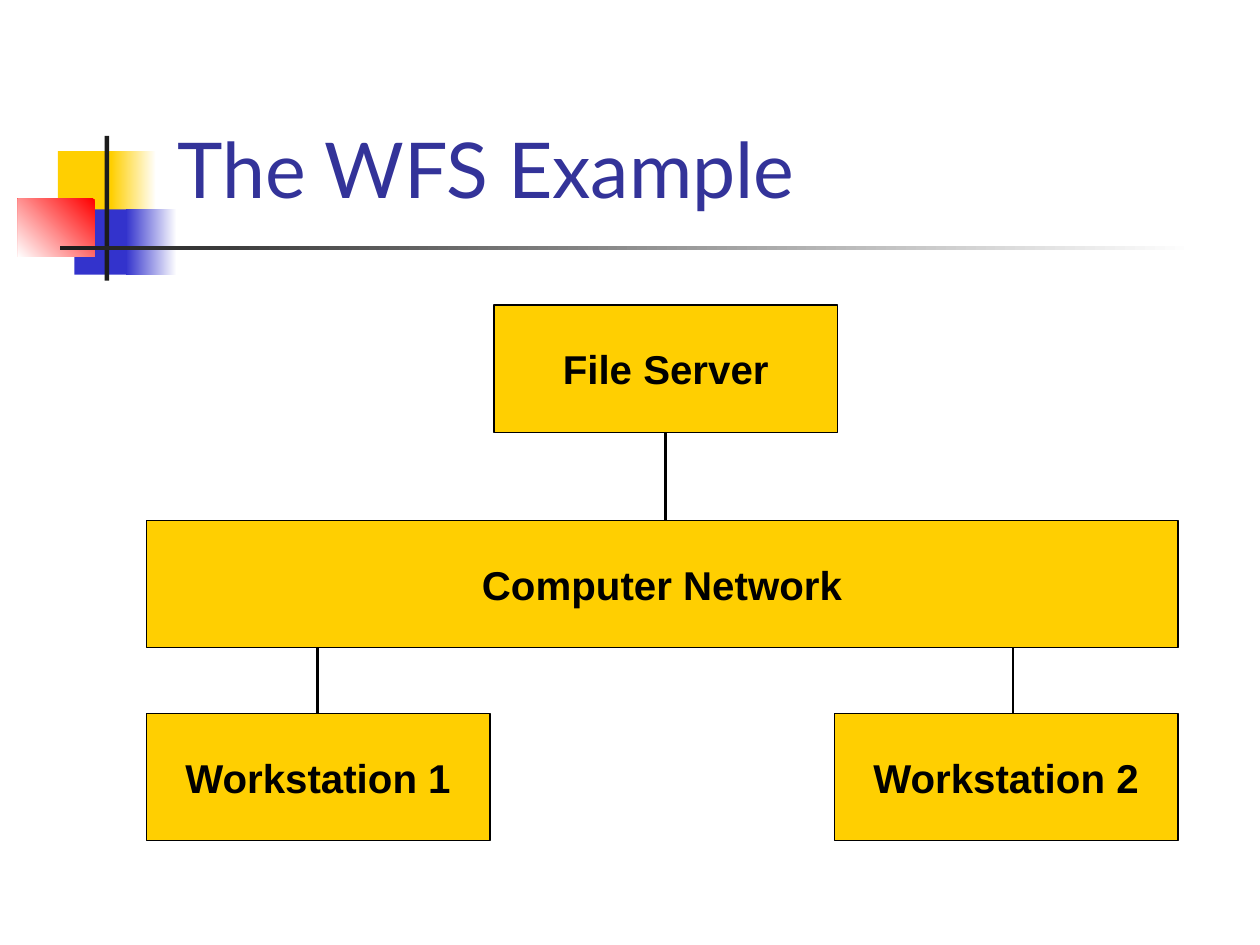
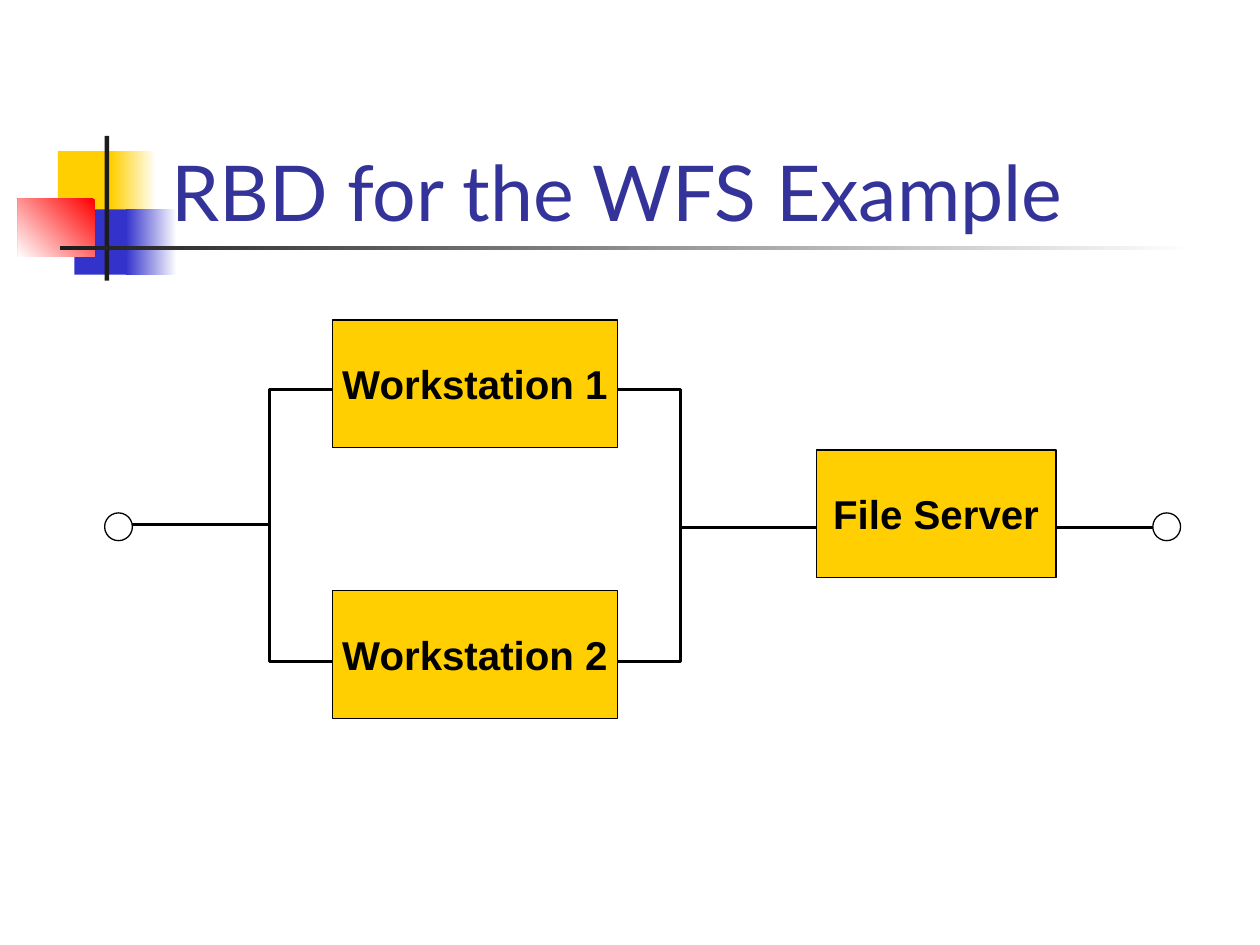
"""Builds two slides on the WFS example: its layout and its reliability block diagram."""
from lxml import etree
from pptx import Presentation
from pptx import util as u
from pptx.dml.color import RGBColor
from pptx.enum import shapes, text
from pptx.oxml import ns

YELLOW, BLUE, RED = "FFCF01", "3333CC", "FF0000"
WHITE, BLACK, CHARCOAL, TITLE_BLUE = "FFFFFF", "000000", "1C1C1C", "333399"
RECT, OVAL = shapes.MSO_SHAPE.RECTANGLE, shapes.MSO_SHAPE.OVAL
TITLE_FONT = {"name": "Lato", "size": u.Pt(44), "bold": False}
LABEL_FONT = {"name": "Arial", "size": u.Pt(23), "bold": True}
TITLE_FRAME = {"word_wrap": True, "vertical_anchor": text.MSO_ANCHOR.BOTTOM,
               "margin_left": u.Cm(0.25), "margin_right": u.Cm(0.25),
               "margin_top": u.Cm(0.13), "margin_bottom": u.Cm(0.13)}
LABEL_FRAME = {"word_wrap": False, "vertical_anchor": text.MSO_ANCHOR.MIDDLE,
               "margin_left": u.Cm(0.33), "margin_right": u.Cm(0.33),
               "margin_top": u.Cm(0.15), "margin_bottom": u.Cm(0.15)}


def rgb(code):
    return RGBColor.from_string(code)


def write(holder, wording, frame_format, font_format, color, align):
    frame = holder.text_frame
    for attribute, value in frame_format.items():
        setattr(frame, attribute, value)
    paragraph = frame.paragraphs[0]
    paragraph.alignment = align
    run = paragraph.add_run()
    run.text = wording
    for attribute, value in font_format.items():
        setattr(run.font, attribute, value)
    run.font.color.rgb = rgb(color)


# Each motif part: left, top, width, height, colours from start to end, angle
motif = [
    (1.17, 3.05, 1.22, 1.32, [YELLOW], 0),
    (2.24, 3.05, 0.91, 1.32, [WHITE, YELLOW], 180),
    (1.5, 4.22, 1.17, 1.32, [BLUE], 0),
    (2.54, 4.22, 1.02, 1.32, [WHITE, BLUE], 180),
    (0.36, 4.01, 1.55, 1.17, [RED, WHITE], 225),
    (2.11, 2.74, 0.09, 2.92, [CHARCOAL], 0),
    (1.22, 4.95, 22.86, 0.09, [WHITE, CHARCOAL], 180),
]

box_height = 2.57
unit_width, network_left, network_width = 6.93, 2.95, 20.8
station_top = 14.38
parallel_left, parallel_width = 6.71, 5.74
loop_left, loop_width = 5.44, 8.28
terminal = 0.56

diagrams = [
    {
        "title": ("The WFS Example", 3.33, 1.27),
        "links": [(20.42, 12.55, 20.42, 14.81),
                  (6.4, 12.55, 6.4, 14.81),
                  (13.41, 8.51, 13.41, 10.8)],
        "blocks": [
            (RECT, network_left, 10.49, network_width, box_height, YELLOW, 0.75, "Computer Network"),
            (RECT, network_left, station_top, unit_width, box_height, YELLOW, 0.75, "Workstation 1"),
            (RECT, network_left + network_width - unit_width, station_top,
             unit_width, box_height, YELLOW, 0.75, "Workstation 2"),
            (RECT, 9.96, 6.15, unit_width, box_height, YELLOW, 0.75, "File Server"),
        ],
    },
    {
        "title": ("RBD for the WFS Example", 3.2, 1.73),
        "links": [(loop_left, 10.57, 2.67, 10.57),
                  (loop_left + loop_width, 10.64, 23.29, 10.64)],
        "blocks": [
            (RECT, loop_left, 7.85, loop_width, 5.49, None, 1.5, ""),
            (RECT, parallel_left, 6.45, parallel_width, box_height, YELLOW, 0.75, "Workstation 1"),
            (RECT, parallel_left, 11.91, parallel_width, box_height, YELLOW, 0.75, "Workstation 2"),
            (RECT, 16.46, 9.07, 4.83, box_height, YELLOW, 0.75, "File Server"),
            (OVAL, 2.11, 10.34, terminal, terminal, WHITE, 0.75, ""),
            (OVAL, 23.24, 10.34, terminal, terminal, WHITE, 0.75, ""),
        ],
    },
]

deck = Presentation()
deck.slide_width, deck.slide_height = u.Cm(25.4), u.Cm(19.05)

for diagram in diagrams:
    slide = deck.slides.add_slide(deck.slide_layouts[6])

    for *place, colors, angle in motif:
        part = slide.shapes.add_shape(RECT, *map(u.Cm, place))
        part.shadow.inherit = False
        part.line.fill.background()
        if len(colors) == 1:
            part.fill.solid()
            part.fill.fore_color.rgb = rgb(colors[0])
        else:
            part.fill.gradient()
            part.fill.gradient_angle = angle
            for stop, position, color in zip(part.fill.gradient_stops, (0, 1), colors):
                stop.position = position
                stop.color.rgb = rgb(color)

    wording, left, top = diagram["title"]
    heading = slide.shapes.add_textbox(u.Cm(left), u.Cm(top), u.Cm(21.64), u.Cm(3.18))
    write(heading, wording, TITLE_FRAME, TITLE_FONT, TITLE_BLUE, text.PP_ALIGN.LEFT)

    for ends in diagram["links"]:
        link = slide.shapes.add_connector(shapes.MSO_CONNECTOR.STRAIGHT, *map(u.Cm, ends))
        link.line.color.rgb = rgb(BLACK)
        link.line.width = u.Pt(1.5)
        etree.SubElement(link._element.spPr, ns.qn("a:effectLst"))

    for outline, *place, color, weight, label in diagram["blocks"]:
        block = slide.shapes.add_shape(outline, *map(u.Cm, place))
        block.shadow.inherit = False
        block.line.color.rgb = rgb(BLACK)
        block.line.width = u.Pt(weight)
        if color:
            block.fill.solid()
            block.fill.fore_color.rgb = rgb(color)
        else:
            block.fill.background()
        if label:
            write(block, label, LABEL_FRAME, LABEL_FONT, BLACK, text.PP_ALIGN.CENTER)

deck.save("out.pptx")
